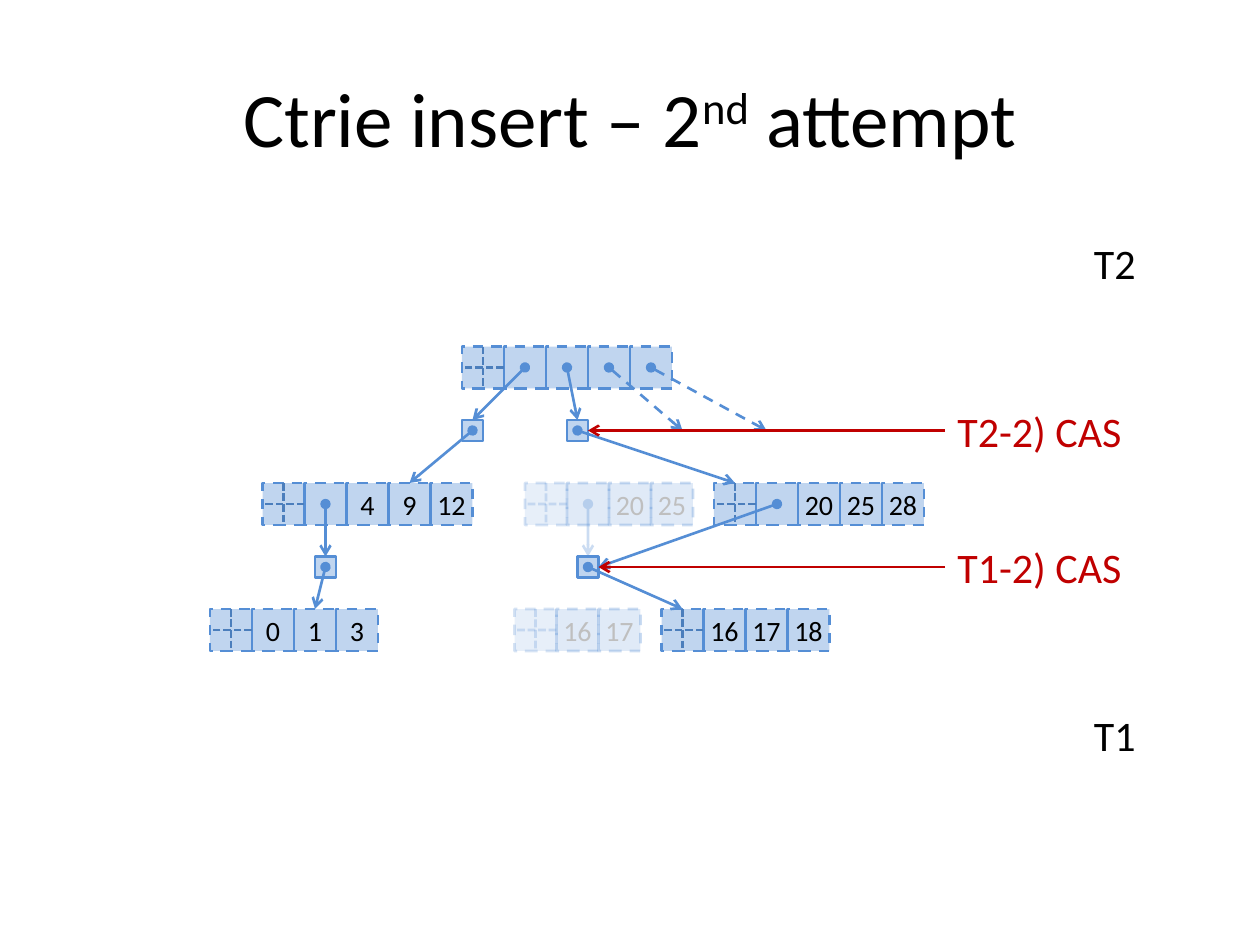
from pptx import Presentation
from pptx.dml.color import RGBColor
from pptx.enum.dml import MSO_LINE
from pptx.enum.shapes import MSO_CONNECTOR, MSO_SHAPE
from pptx.enum.text import MSO_ANCHOR, MSO_AUTO_SIZE, PP_ALIGN
from pptx.oxml.ns import qn
from pptx.oxml.xmlchemy import OxmlElement
from pptx.util import Pt

PX = 7620  # 120 px to the inch
CELL, BOX = 40, 20
BLUE = RGBColor(0x55, 0x8E, 0xD5)
STEEL = RGBColor(0x4B, 0x7E, 0xBC)
RED = RGBColor(0xC0, 0x00, 0x00)
BLACK = RGBColor(0x00, 0x00, 0x00)
GREY = RGBColor(0xBF, 0xBF, 0xBF)
DASH, DOTS = MSO_LINE.DASH, MSO_LINE.SQUARE_DOT

# Cell looks: fill and line opacity in percent, text colour
LIVE = {"fill": 37, "edge": 100, "ink": BLACK}
OLD = {"fill": 18, "edge": 29, "ink": GREY}
OLD_HEAD = {"fill": 14, "edge": 24, "ink": GREY}

MID = {"word_wrap": False, "vertical_anchor": MSO_ANCHOR.MIDDLE}
GROW = {"word_wrap": False, "auto_size": MSO_AUTO_SIZE.SHAPE_TO_FIT_TEXT}
HEAD = {"word_wrap": True, "vertical_anchor": MSO_ANCHOR.MIDDLE}


def put(item, form):
    for name, value in form.items():
        setattr(item, name, value)


def fade(part, pct):
    if pct < 100:
        alpha = OxmlElement("a:alpha")
        alpha.set("val", str(pct * 1000))
        part.find(".//" + qn("a:srgbClr")).append(alpha)


class Sketch:
    def __init__(self, slide):
        self.shapes = slide.shapes
        self.font = "Calibri"
        self.width = Pt(1.5)

    def letter(self, frame, runs, form, size, color, align=PP_ALIGN.LEFT):
        put(frame, form)
        para = frame.paragraphs[0]
        para.alignment = align
        for text, base in runs:
            run = para.add_run()
            run.text = text
            put(run.font, {"name": self.font, "size": Pt(size)})
            run.font.color.rgb = color
            if base:
                run.font._element.set("baseline", str(base * 1000))

    def label(self, box, runs, form, size, color=BLACK, align=PP_ALIGN.LEFT):
        area = self.shapes.add_textbox(*(n * PX for n in box))
        self.letter(area.text_frame, runs, form, size, color, align)

    def stroke(self, item, color, dash, pct):
        item.line.color.rgb = color
        put(item.line, {"width": self.width, "dash_style": dash})
        edge = item.element.spPr.find(qn("a:ln"))
        fade(edge, pct)
        return edge

    def square(self, x, y, side, look=LIVE, dash=None, text="", home=None):
        box = (home or self.shapes).add_shape(
            MSO_SHAPE.RECTANGLE, *(n * PX for n in (x, y, side, side)))
        box.shadow.inherit = False
        box.fill.solid()
        box.fill.fore_color.rgb = BLUE
        fade(box.element.spPr.find(qn("a:solidFill")), look["fill"])
        self.stroke(box, BLUE, dash, look["edge"])
        if text:
            self.letter(box.text_frame, [(text, 0)], MID, 16, look["ink"], PP_ALIGN.CENTER)

    def line(self, ends, color=BLUE, dash=None, pct=100, head=None, tail=None, home=None):
        link = (home or self.shapes).add_connector(
            MSO_CONNECTOR.STRAIGHT, *(n * PX for n in ends))
        edge = self.stroke(link, color, dash, pct)
        for tag, kind in (("a:headEnd", head), ("a:tailEnd", tail)):
            if kind:
                tip = OxmlElement(tag)
                tip.set("type", kind)
                edge.append(tip)
        link.element.spPr.append(OxmlElement("a:effectLst"))

    def node(self, x, y, items, old=False):
        """A crossed bitmap cell followed by one cell per item."""
        for i, text in enumerate(items, 1):
            self.square(x + i * CELL, y, CELL, OLD if old else LIVE, DASH, text)
        look = OLD_HEAD if old else LIVE
        color = BLUE if old else STEEL
        home = self.shapes.add_group_shape().shapes
        self.square(x, y, CELL, look, DASH, home=home)
        half = CELL // 2
        for ends in ((x + half, y, x + half, y + CELL),
                     (x + CELL, y + half, x, y + half)):
            self.line(ends, color, DOTS, look["edge"], home=home)

    def point(self, ends, dash=None, pct=100):
        self.line(ends, BLUE, dash, pct, "oval", "arrow")


def main():
    deck = Presentation()
    put(deck, {"slide_width": 1200 * PX, "slide_height": 900 * PX})
    art = Sketch(deck.slides.add_slide(deck.slide_layouts[6]))

    # Title
    art.label((60, 36, 1080, 150),
              [("Ctrie insert – 2", 0), ("nd", 30), (" attempt", 0)],
              HEAD, 44, align=PP_ALIGN.CENTER)

    # Trie nodes; an empty item holds a pointer
    for x, y, items, old in (
            (440, 330, ("", "", "", ""), False),
            (250, 460, ("", "4", "9", "12"), False),
            (200, 580, ("0", "1", "3"), False),
            (490, 580, ("16", "17"), True),
            (500, 460, ("", "20", "25"), True),
            (630, 580, ("16", "17", "18"), False),
            (680, 460, ("", "20", "25", "28"), False)):
        art.node(x, y, items, old)

    # Indirection nodes
    for x, y in ((300, 530), (440, 400), (540, 400), (550, 530)):
        art.square(x, y, BOX)

    # Pointers
    for ends in (
            (500, 350, 450, 400), (540, 350, 550, 400),
            (310, 480, 310, 530), (310, 540, 300, 580),
            (450, 410, 390, 460), (550, 410, 700, 460),
            (560, 540, 650, 580), (740, 480, 570, 540)):
        art.point(ends)
    for ends in ((580, 350, 650, 410), (620, 350, 730, 410)):
        art.point(ends, DASH)
    art.point((560, 480, 560, 530), pct=OLD["edge"])

    # Threads
    for text, y in (("T1", 670), ("T2", 220)):
        art.label((1030, y, 65, 61), [(text, 0)], GROW, 24)

    # CAS steps
    for text, top, x, y in (("T2-2) CAS", 380, 560, 410),
                            ("T1-2) CAS", 510, 570, 540)):
        art.label((900, top, 182, 61), [(text, 0)], GROW, 24, RED)
        art.line((900, y, x, y), RED, tail="arrow")

    deck.save("out.pptx")


if __name__ == "__main__":
    main()
